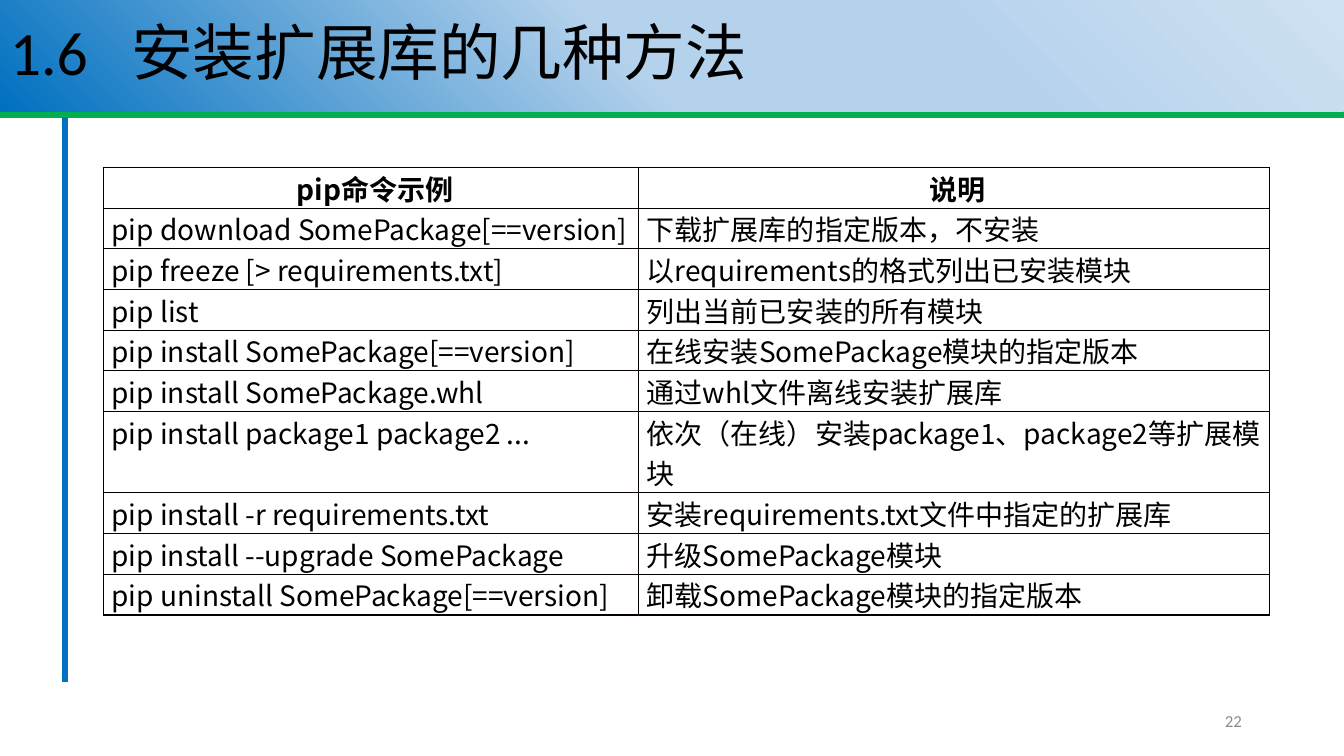
"""Build the slide that lists pip commands for installing extension libraries."""
from lxml.etree import SubElement
from pptx import Presentation
from pptx.dml.color import RGBColor
from pptx.enum.shapes import MSO_CONNECTOR, MSO_SHAPE
from pptx.enum.text import MSO_ANCHOR, PP_ALIGN
from pptx.oxml import parse_xml
from pptx.oxml.ns import nsdecls, qn
from pptx.util import Cm, Pt

BLACK = RGBColor(0x00, 0x00, 0x00)
EDGE = RGBColor(0x08, 0x00, 0x00)
GREEN = RGBColor(0x00, 0xB0, 0x50)
BLUE = RGBColor(0x00, 0x70, 0xC0)
SKY = RGBColor(0xB5, 0xD2, 0xEC)
PALE = RGBColor(0xCE, 0xE1, 0xF2)
GREY = RGBColor(0x8C, 0x8C, 0x8C)
SANS = "Noto Sans CJK SC"

RULES = [
    (0, 2.89, 33.87, 2.89, GREEN, 5.25),
    (1.64, 2.95, 1.64, 17.18, BLUE, 3.75),
]
STOPS = [(1, PALE), (29, SKY), (53, SKY), (100, BLUE)]
ROWS = [
    ("pip命令示例", "说明"),
    ("pip download SomePackage[==version]", "下载扩展库的指定版本，不安装"),
    ("pip freeze [> requirements.txt]", "以requirements的格式列出已安装模块"),
    ("pip list", "列出当前已安装的所有模块"),
    ("pip install SomePackage[==version]", "在线安装SomePackage模块的指定版本"),
    ("pip install SomePackage.whl", "通过whl文件离线安装扩展库"),
    ("pip install package1 package2 ...", "依次（在线）安装package1、package2等扩展模块"),
    ("pip install -r requirements.txt", "安装requirements.txt文件中指定的扩展库"),
    ("pip install --upgrade SomePackage", "升级SomePackage模块"),
    ("pip uninstall SomePackage[==version]", "卸载SomePackage模块的指定版本"),
]
TALL = 6


def write(frame, text, size, font="Calibri", color=BLACK, bold=False,
          align=PP_ALIGN.LEFT):
    """Put one formatted run in the frame and return its paragraph."""
    frame.word_wrap = True
    para = frame.paragraphs[0]
    para.alignment = align
    run = para.add_run()
    run.text = text
    run.font.size = Pt(size)
    run.font.name = font
    run.font.bold = bold
    run.font.color.rgb = color
    SubElement(run.font._element, qn("a:ea"), typeface=SANS)
    return para


deck = Presentation()
deck.slide_width, deck.slide_height = Cm(33.87), Cm(19.05)
slide = deck.slides.add_slide(deck.slide_layouts[6])
shapes = slide.shapes

for x1, y1, x2, y2, color, width in RULES:
    rule = shapes.add_connector(
        MSO_CONNECTOR.STRAIGHT, Cm(x1), Cm(y1), Cm(x2), Cm(y2))
    rule.line.color.rgb = color
    rule.line.width = Pt(width)
    SubElement(rule._element.spPr, qn("a:effectLst"))

title = shapes.add_shape(MSO_SHAPE.RECTANGLE, 0, 0, Cm(33.87), Cm(2.8))
title.shadow.inherit = False
title.line.fill.background()
stops = "".join(
    f'<a:gs pos="{pos * 1000}"><a:srgbClr val="{color}"/></a:gs>'
    for pos, color in STOPS)
title._element.spPr.insert(2, parse_xml(
    f'<a:gradFill {nsdecls("a")} rotWithShape="1"><a:gsLst>{stops}</a:gsLst>'
    '<a:lin ang="8100000" scaled="0"/></a:gradFill>'))
title.text_frame.vertical_anchor = MSO_ANCHOR.MIDDLE
para = write(title.text_frame, "1.6\t安装扩展库的几种方法", 44)
para.line_spacing = 0.9
tabs = SubElement(para._element.get_or_add_pPr(), qn("a:tabLst"))
SubElement(tabs, qn("a:tab"), pos=str(Cm(3.06)), algn="l")

page = shapes.add_textbox(Cm(23.93), Cm(17.65), Cm(7.62), Cm(1.02))
page.text_frame.vertical_anchor = MSO_ANCHOR.MIDDLE
write(page.text_frame, "22", 12, color=GREY, align=PP_ALIGN.RIGHT)

high = Cm(11.28)
unit = high // (len(ROWS) + 1)
table = shapes.add_table(
    len(ROWS), 2, Cm(2.61), Cm(4.22), Cm(29.37), high).table
table.columns[0].width, table.columns[1].width = Cm(13.49), Cm(15.88)
for r, row in enumerate(ROWS):
    table.rows[r].height = unit * 2 if r == TALL else unit
    for c, text in enumerate(row):
        cell = table.cell(r, c)
        cell.margin_left = Cm(0.2)
        cell.margin_top = cell.margin_right = cell.margin_bottom = 0
        align = PP_ALIGN.LEFT if r else PP_ALIGN.CENTER
        write(cell.text_frame, text, 20, font=SANS, bold=r == 0, align=align)
        props = cell._tc.get_or_add_tcPr()
        for side in "LRTB":
            outer = side == "R" and c == 1
            width, color = (0.75, BLACK) if outer else (1, EDGE)
            edge = SubElement(props, qn(f"a:ln{side}"), w=str(Pt(width)))
            fill = SubElement(edge, qn("a:solidFill"))
            SubElement(fill, qn("a:srgbClr"), val=str(color))
        cell.fill.background()

deck.save("out.pptx")
